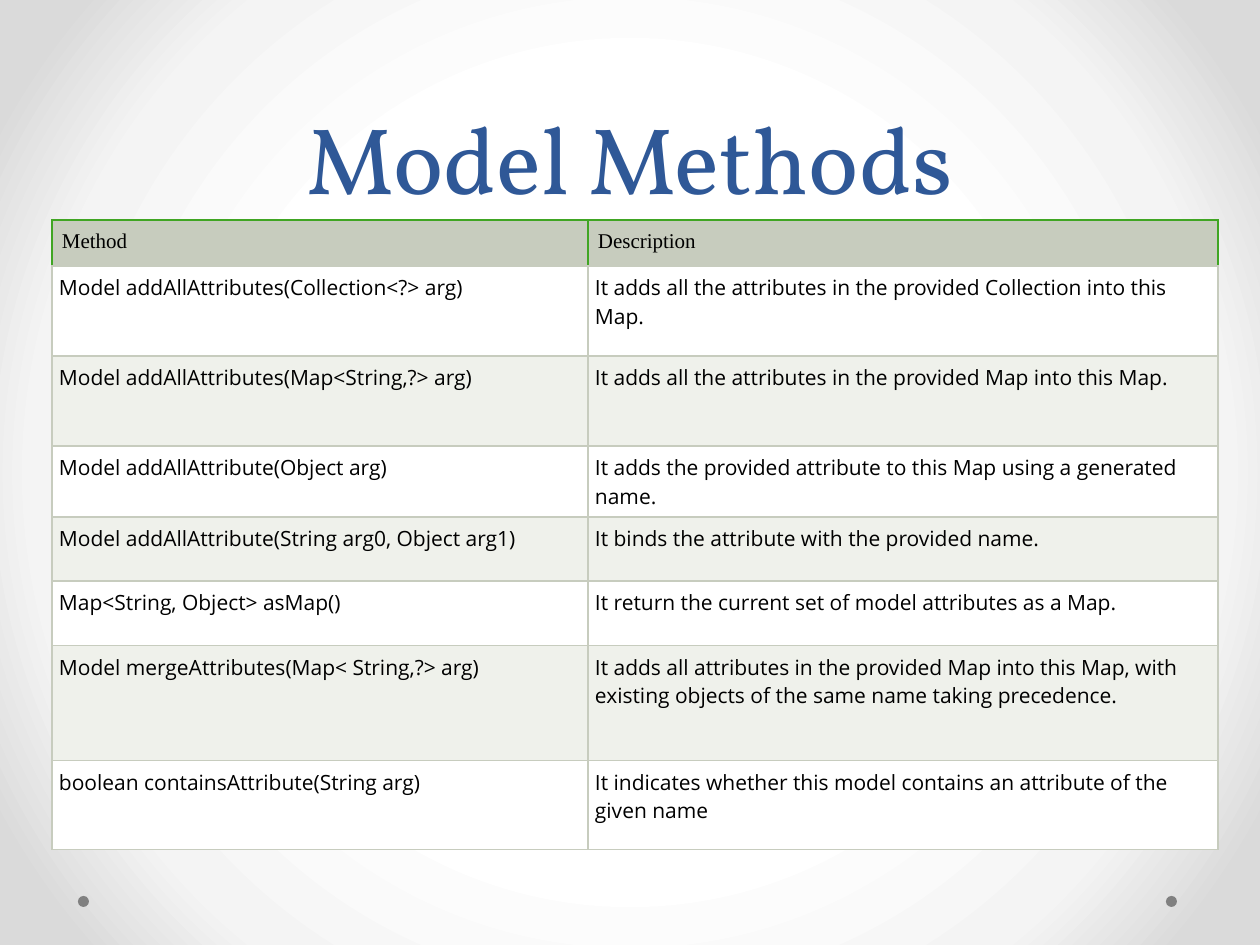
from lxml import etree
from pptx import Presentation
from pptx import util as u
from pptx.dml.color import RGBColor
from pptx.enum import shapes, text
from pptx.oxml import ns, parse_xml

BLUE = RGBColor(0x2F, 0x58, 0x97)
GREY = RGBColor(0x80, 0x80, 0x80)
BLACK = RGBColor(0, 0, 0)
WHITE = RGBColor(0xFF, 0xFF, 0xFF)
PALE = RGBColor(0xEF, 0xF1, 0xEB)
SAGE = RGBColor(0xC7, 0xCC, 0xBE)
GREEN = RGBColor(0x40, 0xA5, 0x23)
BACKDROP = [(50, WHITE), (76, RGBColor(0xF4, 0xF4, 0xF4)), (92, RGBColor(0xDA, 0xDA, 0xDA))]

COLUMNS = [536, 630]
ROWS = [
    (46, "Method", "Description"),
    (90, "Model addAllAttributes(Collection<?> arg)",
     "It adds all the attributes in the provided Collection into this Map."),
    (90, "Model addAllAttributes(Map<String,?> arg)",
     "It adds all the attributes in the provided Map into this Map."),
    (71, "Model addAllAttribute(Object arg)",
     "It adds the provided attribute to this Map using a generated name."),
    (64, "Model addAllAttribute(String arg0, Object arg1)",
     "It binds the attribute with the provided name."),
    (65, "Map<String, Object> asMap()",
     "It return the current set of model attributes as a Map."),
    (115, "Model mergeAttributes(Map< String,?> arg)",
     "It adds all attributes in the provided Map into this Map, with existing "
     "objects of the same name taking precedence."),
    (89, "boolean containsAttribute(String arg)",
     "It indicates whether this model contains an attribute of the given name"),
]


def px(n):
    return u.Emu(round(n * 914400 / 126))


class Deck:
    title_font, head_font, body_font = "Vollkorn", "Times New Roman", "Open Sans"
    body_size = u.Pt(12)

    def __init__(self, width, height):
        self.prs = Presentation()
        self.prs.slide_width, self.prs.slide_height = px(width), px(height)
        self.s = self.prs.slides.add_slide(self.prs.slide_layouts[6])

    def background(self, stops):
        fill = self.s.background.fill
        fill.gradient()
        old = self.s.element.find(".//" + ns.qn("a:gradFill"))
        gs = "".join(f'<a:gs pos="{pos * 1000}"><a:srgbClr val="{color}"/></a:gs>'
                     for pos, color in stops)
        old.getparent().replace(old, parse_xml(
            f'<a:gradFill {ns.nsdecls("a")} rotWithShape="1"><a:gsLst>{gs}</a:gsLst>'
            '<a:path path="circle"><a:fillToRect l="50000" t="50000" r="50000" b="50000"/>'
            '</a:path></a:gradFill>'))

    def dot(self, x, y, size):
        sp = self.s.shapes.add_shape(shapes.MSO_SHAPE.OVAL, px(x), px(y), px(size), px(size))
        sp.shadow.inherit = False
        sp.fill.solid()
        sp.fill.fore_color.rgb = GREY
        sp.line.fill.background()

    def font(self, p, name, size, color):
        p.font.name, p.font.size, p.font.color.rgb = name, size, color

    def title(self, x, y, w, h, words):
        tf = self.s.shapes.add_textbox(px(x), px(y), px(w), px(h)).text_frame
        tf.word_wrap = True
        tf.vertical_anchor = text.MSO_ANCHOR.BOTTOM
        p = tf.paragraphs[0]
        p.text = words
        p.alignment = text.PP_ALIGN.CENTER
        p.line_spacing = u.Pt(58)
        self.font(p, self.title_font, u.Pt(54), BLUE)

    def borders(self, cell, side_color, bottom_color):
        tc_pr = cell._tc.get_or_add_tcPr()
        colors = [side_color, side_color, side_color, bottom_color]
        for i, (side, color) in enumerate(zip("LRTB", colors)):
            ln = etree.Element(ns.qn(f"a:ln{side}"), w=str(u.Pt(0.75)))
            fill = etree.SubElement(ln, ns.qn("a:solidFill"))
            etree.SubElement(fill, ns.qn("a:srgbClr"), val=str(color))
            tc_pr.insert(i, ln)

    def cell(self, cell, words, header, fill):
        cell.fill.solid()
        cell.fill.fore_color.rgb = fill
        inset = px(10 if header else 7)
        cell.margin_left = cell.margin_right = cell.margin_top = cell.margin_bottom = inset
        p = cell.text_frame.paragraphs[0]
        p.text = words
        self.font(p, self.head_font if header else self.body_font, self.body_size, BLACK)
        self.borders(cell, GREEN if header else SAGE, SAGE)

    def table(self, x, y, columns, rows):
        height = sum(row[0] for row in rows)
        tbl = self.s.shapes.add_table(len(rows), len(columns), px(x), px(y),
                                      px(sum(columns)), px(height)).table
        for col, width in zip(tbl.columns, columns):
            col.width = px(width)
        for r, (row_height, *words) in enumerate(rows):
            tbl.rows[r].height = px(row_height)
            fill = SAGE if r == 0 else WHITE if r % 2 else PALE
            for c, word in enumerate(words):
                self.cell(tbl.cell(r, c), word, r == 0, fill)


def main():
    deck = Deck(1260, 945)
    deck.background(BACKDROP)
    for x in (1166, 78):
        deck.dot(x, 896, 11)
    deck.title(63, 0, 1134, 220, "Model Methods")
    deck.table(52, 220, COLUMNS, ROWS)
    deck.prs.save("out.pptx")


if __name__ == "__main__":
    main()
